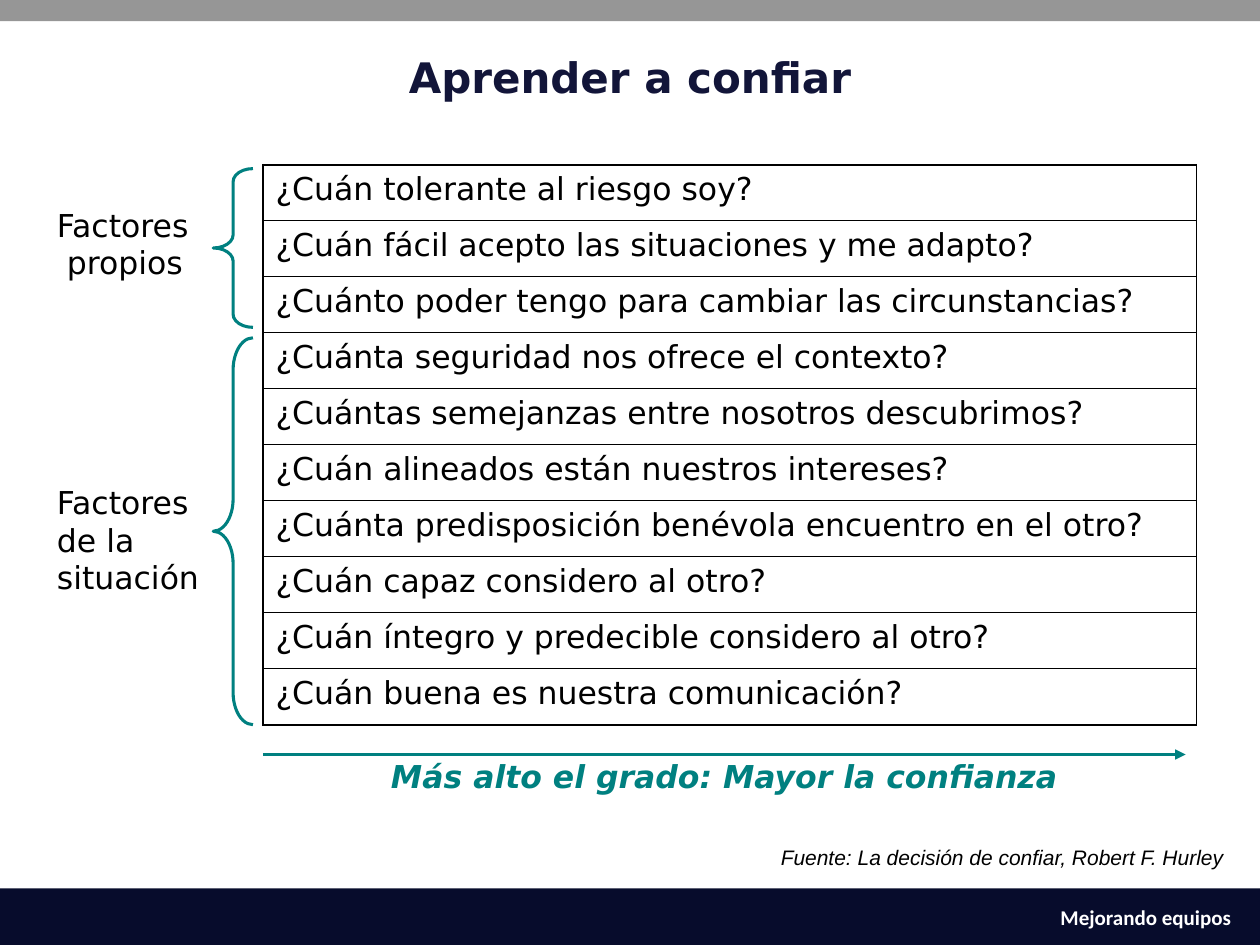
from dataclasses import dataclass

import lxml.etree
import pptx
import pptx.dml.color
import pptx.enum.dml
import pptx.enum.shapes
import pptx.enum.text
import pptx.oxml
import pptx.oxml.ns
import pptx.util

Cm = pptx.util.Cm
Pt = pptx.util.Pt
Align = pptx.enum.text.PP_ALIGN
Shape = pptx.enum.shapes.MSO_SHAPE
qn = pptx.oxml.ns.qn


@dataclass(frozen=True)
class Theme:
    navy: str = "070C2C"
    gray: str = "969696"
    title: str = "121539"
    teal: str = "008080"
    black: str = "000000"
    white: str = "FFFFFF"
    sans: str = "DejaVu Sans"
    title_size: float = 24
    body_size: float = 18
    small_size: float = 12
    accent_line: float = 1.75
    outer_border: float = 1.08
    inner_border: float = 0.45


THEME = Theme()


@dataclass(frozen=True)
class Style:
    size: float = THEME.body_size
    color: str = THEME.black
    font: str = THEME.sans
    bold: bool = False
    italic: bool = False


@dataclass(frozen=True)
class Area:
    """Position and size in centimetres."""
    left: float
    top: float
    width: float
    height: float

    def lengths(self) -> tuple:
        return Cm(self.left), Cm(self.top), Cm(self.width), Cm(self.height)


@dataclass(frozen=True)
class Label:
    area: Area
    lines: tuple[str, ...]
    style: Style = Style()
    align: Align = Align.LEFT
    wrap: bool = True
    last_indent: float = 0


@dataclass(frozen=True)
class Brace:
    area: Area
    curve: float


QUESTIONS = (
    "¿Cuán tolerante al riesgo soy?",
    "¿Cuán fácil acepto las situaciones y me adapto?",
    "¿Cuánto poder tengo para cambiar las circunstancias?",
    "¿Cuánta seguridad nos ofrece el contexto?",
    "¿Cuántas semejanzas entre nosotros descubrimos?",
    "¿Cuán alineados están nuestros intereses?",
    "¿Cuánta predisposición benévola encuentro en el otro?",
    "¿Cuán capaz considero al otro?",
    "¿Cuán íntegro y predecible considero al otro?",
    "¿Cuán buena es nuestra comunicación?",
)
ROW_HEIGHT = 1.13
TABLE = Area(5.3, 3.32, 18.82, ROW_HEIGHT * len(QUESTIONS))

BRACES = (
    Brace(Area(4.3, 6.81, 0.8, 7.8), 0.81),
    Brace(Area(4.3, 3.4, 0.8, 3.2), 0.33),
)

LABELS = (
    Label(Area(0.9, 4.02, 3.3, 1.78), ("Factores", "propios"), last_indent=0.2),
    Label(Area(0.9, 9.61, 3.6, 2.54), ("Factores", "de la", "situación")),
    Label(Area(15.49, 16.91, 9.52, 0.76),
          ("Fuente: La decisión de confiar, Robert F. Hurley",),
          Style(THEME.small_size, font="Arial", italic=True), wrap=False),
    Label(Area(5.1, 15.14, 19, 1.02), ("Más alto el grado: Mayor la confianza",),
          Style(color=THEME.teal, bold=True, italic=True), Align.CENTER),
    Label(Area(0, 0.91, 25.4, 1.27), ("Aprender a confiar",),
          Style(THEME.title_size, THEME.title, bold=True), Align.CENTER),
)
FOOTER = Label(Area(8.18, 18.11, 16.89, 0.76), ("Mejorando equipos",),
               Style(THEME.small_size, THEME.white, "Calibri", bold=True), Align.RIGHT)


def rgb(color: str) -> pptx.dml.color.RGBColor:
    return pptx.dml.color.RGBColor.from_string(color)


def add_span(para, text: str, style: Style) -> None:
    span = para.add_run()
    span.text = text
    span.font.name = style.font
    span.font.size = Pt(style.size)
    span.font.bold = style.bold
    span.font.italic = style.italic
    span.font.color.rgb = rgb(style.color)


def draw_label(page, label: Label) -> None:
    frame = page.shapes.add_textbox(*label.area.lengths()).text_frame
    frame.word_wrap = label.wrap
    for index, line in enumerate(label.lines):
        para = frame.add_paragraph() if index else frame.paragraphs[0]
        para.alignment = label.align
        add_span(para, line, label.style)
    if label.last_indent:
        para._p.get_or_add_pPr().set("indent", str(Cm(label.last_indent)))


def draw_bar(page, area: Area, color: str) -> None:
    bar = page.shapes.add_shape(Shape.RECTANGLE, *area.lengths())
    bar.shadow.inherit = False
    bar.fill.solid()
    bar.fill.fore_color.rgb = rgb(color)
    bar.line.fill.background()


def draw_brace(page, brace: Brace) -> None:
    shape = page.shapes.add_shape(Shape.LEFT_BRACE, *brace.area.lengths())
    shape.shadow.inherit = False
    shape.adjustments[0] = brace.curve
    shape.fill.background()
    shape.line.color.rgb = rgb(THEME.teal)
    shape.line.width = Pt(THEME.accent_line)


def set_borders(cell, widths: dict[str, float]) -> None:
    properties = cell._tc.get_or_add_tcPr()
    for position, (side, width) in enumerate(widths.items()):
        border = pptx.oxml.parse_xml(
            f'<a:ln{side} {pptx.oxml.ns.nsdecls("a")} w="{Pt(width)}"><a:solidFill>'
            f'<a:srgbClr val="{THEME.black}"/></a:solidFill></a:ln{side}>')
        properties.insert(position, border)


def draw_table(page) -> None:
    table = page.shapes.add_table(len(QUESTIONS), 1, *TABLE.lengths()).table
    table.first_row = table.horz_banding = False
    outer, inner = THEME.outer_border, THEME.inner_border
    last = len(QUESTIONS) - 1
    for index, question in enumerate(QUESTIONS):
        table.rows[index].height = Cm(ROW_HEIGHT)
        cell = table.cell(index, 0)
        cell.fill.background()
        add_span(cell.text_frame.paragraphs[0], question, Style())
        set_borders(cell, {"L": outer, "R": outer,
                           "T": outer if index == 0 else inner,
                           "B": outer if index == last else inner})


def draw_arrow(page, left: float, right: float, height: float) -> None:
    arrow = page.shapes.add_connector(
        pptx.enum.shapes.MSO_CONNECTOR.STRAIGHT,
        Cm(left), Cm(height), Cm(right), Cm(height))
    arrow.line.color.rgb = rgb(THEME.teal)
    arrow.line.width = Pt(THEME.accent_line)
    lxml.etree.SubElement(arrow.line._get_or_add_ln(), qn("a:tailEnd"), type="triangle")
    lxml.etree.SubElement(arrow._element.spPr, qn("a:effectLst"))


def main() -> None:
    deck = pptx.Presentation()
    deck.slide_width, deck.slide_height = Cm(25.4), Cm(19.05)
    page = deck.slides.add_slide(deck.slide_layouts[6])

    # Page frame
    draw_bar(page, Area(0, 17.91, 25.4, 1.14), THEME.navy)
    draw_label(page, FOOTER)
    draw_bar(page, Area(0, 0, 25.4, 0.43), THEME.gray)

    # Questions and their groups
    draw_table(page)
    for brace in BRACES:
        draw_brace(page, brace)

    # Confidence scale, then all wording around the table
    draw_arrow(page, TABLE.left, 23.9, 15.21)
    for label in LABELS:
        draw_label(page, label)

    deck.save("out.pptx")


if __name__ == "__main__":
    main()
